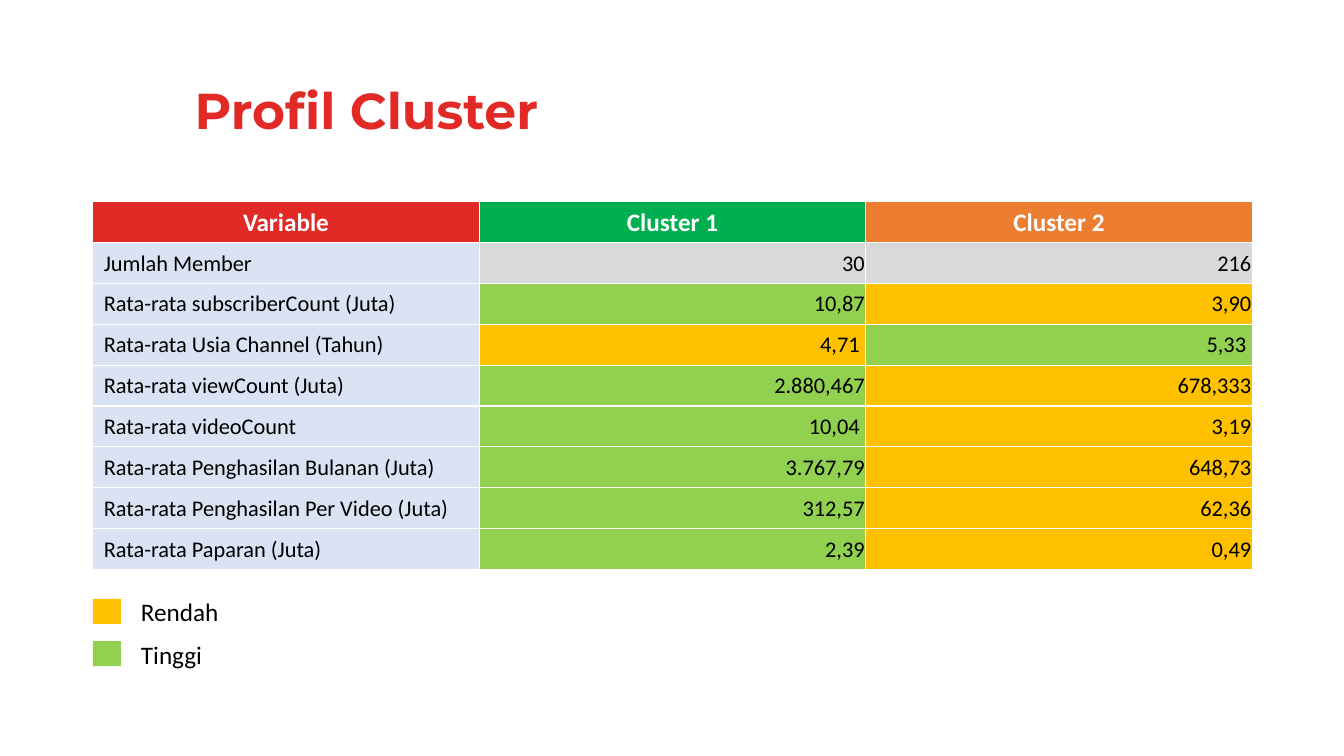
"""Builds the cluster profile slide with its comparison table and legend."""
from pptx import Presentation
from pptx.dml.color import RGBColor
from pptx.enum.shapes import MSO_SHAPE
from pptx.enum.text import MSO_ANCHOR, PP_ALIGN
from pptx.util import Inches, Pt

LEFT, CENTER, RIGHT = PP_ALIGN.LEFT, PP_ALIGN.CENTER, PP_ALIGN.RIGHT
MIDDLE = MSO_ANCHOR.MIDDLE
RECTANGLE = MSO_SHAPE.RECTANGLE
RED, WHITE, BLACK = "E12A26", "FFFFFF", "000000"
LOW, HIGH, NEUTRAL, LABEL = "FFC000", "92D050", "D9D9D9", "DAE3F3"
HEADER_FILLS = (RED, "00B050", "ED7D31")
ROWS = [
    ("Variable", "Cluster 1", "Cluster 2"),
    ("Jumlah Member", "30", "216"),
    ("Rata-rata subscriberCount (Juta)", "10,87", "3,90"),
    ("Rata-rata Usia Channel (Tahun)", "4,71 ", "5,33 "),
    ("Rata-rata viewCount (Juta)", "2.880,467", "678,333"),
    ("Rata-rata videoCount", "10,04 ", "3,19"),
    ("Rata-rata Penghasilan Bulanan (Juta)", "3.767,79", "648,73"),
    ("Rata-rata Penghasilan Per Video (Juta)", "312,57", "62,36"),
    ("Rata-rata Paparan (Juta)", "2,39", "0,49"),
]
ROW_FILLS = [HEADER_FILLS, (LABEL, NEUTRAL, NEUTRAL)] + [(LABEL, HIGH, LOW)] * 7
ROW_FILLS[3] = (LABEL, LOW, HIGH)


def paint(fill, color):
    fill.solid()
    fill.fore_color.rgb = RGBColor.from_string(color)


def style(para, size, color, bold=False, name="Calibri", align=LEFT):
    para.alignment = align
    para.font.name = name
    para.font.size = Pt(size)
    para.font.bold = bold
    para.font.color.rgb = RGBColor.from_string(color)


deck = Presentation()
deck.slide_width, deck.slide_height = Inches(13.33), Inches(7.5)
page = deck.slides.add_slide(deck.slide_layouts[5])

title = page.shapes.title
title.left, title.top = Inches(1.83), Inches(0.4)
title.width, title.height = Inches(10.58), Inches(1.45)
title.text_frame.text = "Profil Cluster"
title.text_frame.vertical_anchor = MIDDLE
title_para = title.text_frame.paragraphs[0]
title_para.line_spacing = 0.9
style(title_para, 36, RED, True, "Montserrat")

table = page.shapes.add_table(
    len(ROWS), 3, Inches(0.92), Inches(2), Inches(11.5), Inches(3.65)).table
table.horz_banding = False
for row_index, (texts, fills) in enumerate(zip(ROWS, ROW_FILLS)):
    for column_index, (text, fill) in enumerate(zip(texts, fills)):
        cell = table.cell(row_index, column_index)
        cell.text = text
        cell.vertical_anchor = MIDDLE
        cell.margin_left = cell.margin_right = cell.margin_top = Inches(0.01)
        cell.margin_bottom = 0
        paint(cell.fill, fill)
        para = cell.text_frame.paragraphs[0]
        if row_index == 0:
            style(para, 18, WHITE, bold=True, align=CENTER)
            continue
        style(para, 16, BLACK, align=RIGHT if column_index else LEFT)
        para._p.get_or_add_pPr().set("marL", str(Inches(0.1)))
        if column_index:
            para.space_after = Pt(6)

for index, (text, color) in enumerate((("Rendah", LOW), ("Tinggi", HIGH))):
    top = 5.87 + 0.42 * index
    swatch = page.shapes.add_shape(
        RECTANGLE, Inches(0.92), Inches(top + 0.07), Inches(0.28), Inches(0.25))
    swatch.shadow.inherit = False
    swatch.line.fill.background()
    paint(swatch.fill, color)
    box = page.shapes.add_textbox(Inches(1.3), Inches(top), Inches(2.1), Inches(0.4))
    box.text_frame.word_wrap = True
    box.text_frame.text = text
    style(box.text_frame.paragraphs[0], 18, BLACK)

deck.save("out.pptx")
